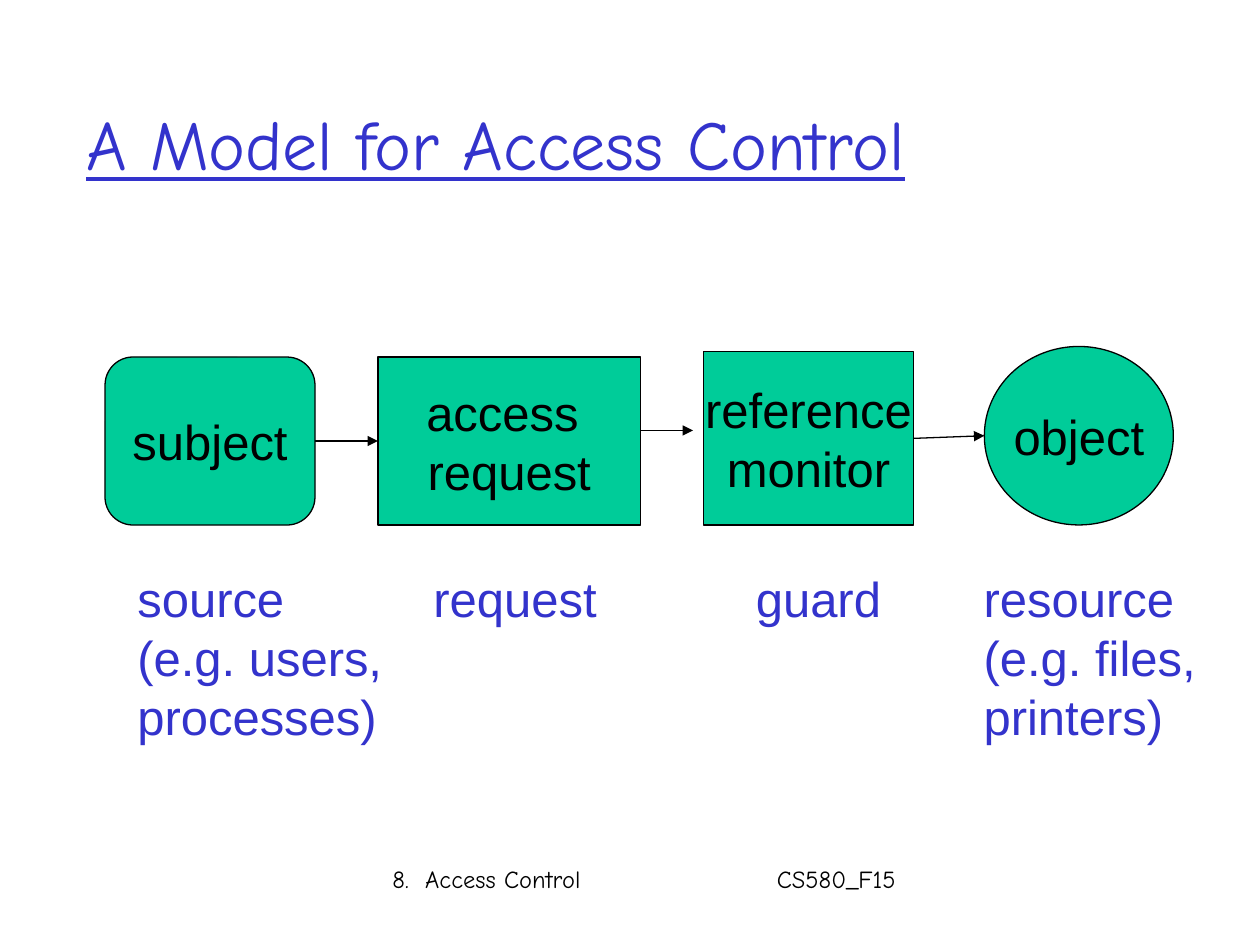
"""Build the access control model slide on a grid of 120 columns by 90 rows."""
from dataclasses import dataclass

from lxml.etree import SubElement
from pptx import Presentation
from pptx.dml.color import RGBColor
from pptx.enum.shapes import MSO_CONNECTOR, MSO_SHAPE as Preset
from pptx.enum.text import MSO_ANCHOR as Anchor, MSO_AUTO_SIZE as AutoSize, PP_ALIGN as Align
from pptx.oxml.ns import qn
from pptx.util import Inches, Pt

COLORS = {"ink": "000000", "accent": "3333CC", "box": "00CC99"}
BODY_FONT, TITLE_FONT = "Arial", "Comic Neue"
BODY_SIZE, LINE_WIDTH = 28, 0.75
LABEL_ROW = 53.6


@dataclass(frozen=True)
class Area:
    column: float
    row: float
    columns: float
    rows: float


@dataclass(frozen=True)
class Stage:
    preset: Preset
    area: Area
    text: str


@dataclass(frozen=True)
class Label:
    area: Area
    text: str


@dataclass(frozen=True)
class Arrow:
    start: tuple[float, float]
    end: tuple[float, float]


TITLE_AREA = Area(7, 6.1, 102, 14.9)
FOOTER_AREA = Area(36.2, 81.7, 71.9, 6)
FOOTER_TAB = 36.6

STAGES = [
    Stage(Preset.ROUNDED_RECTANGLE, Area(10, 34, 20, 16), "subject"),
    Stage(Preset.RECTANGLE, Area(36, 34, 25, 16), "access \nrequest"),
    Stage(Preset.RECTANGLE, Area(67, 33.5, 20, 16.5), "reference\nmonitor"),
    Stage(Preset.OVAL, Area(93.75, 33, 18, 17), "object"),
]
LABELS = [
    Label(Area(11.9, LABEL_ROW, 27, 18), "source\n(e.g. users,\nprocesses)"),
    Label(Area(40.1, LABEL_ROW, 17.9, 6.8), "request"),
    Label(Area(70.8, LABEL_ROW, 14.3, 6.8), "guard"),
    Label(Area(92.5, LABEL_ROW, 22.6, 18), "resource\n(e.g. files,\nprinters)"),
]
ARROWS = [
    Arrow((30, 42), (36, 42)),
    Arrow((60, 41), (66, 41)),
    Arrow((87, 41.75), (93.75, 41.5)),
]


def grid(units: float) -> int:
    return Inches(units / 12)


def place(area: Area) -> tuple[int, int, int, int]:
    return grid(area.column), grid(area.row), grid(area.columns), grid(area.rows)


def color(name: str) -> RGBColor:
    return RGBColor.from_string(COLORS[name])


def style_text(frame, font_name: str, size: float, color_name: str,
               align: Align = Align.LEFT, underline: bool | None = None) -> None:
    for paragraph in frame.paragraphs:
        paragraph.alignment = align
        font = paragraph.font
        font.name, font.size, font.underline = font_name, Pt(size), underline
        font.color.rgb = color(color_name)


def add_title(slide, text: str) -> None:
    title = slide.shapes.title
    title.left, title.top, title.width, title.height = place(TITLE_AREA)
    frame = title.text_frame
    frame.text = text
    frame.auto_size = AutoSize.NONE
    frame.vertical_anchor = Anchor.MIDDLE
    style_text(frame, TITLE_FONT, 40, "accent", underline=True)


def add_arrow(slide, arrow: Arrow) -> None:
    ends = [grid(value) for value in (*arrow.start, *arrow.end)]
    connector = slide.shapes.add_connector(MSO_CONNECTOR.STRAIGHT, *ends)
    connector.line.color.rgb = color("ink")
    connector.line.width = Pt(LINE_WIDTH)
    SubElement(connector.line._get_or_add_ln(), qn("a:tailEnd"), type="triangle")
    SubElement(connector._element.spPr, qn("a:effectLst"))


def add_stage(slide, stage: Stage) -> None:
    shape = slide.shapes.add_shape(stage.preset, *place(stage.area))
    shape.shadow.inherit = False
    shape.fill.solid()
    shape.fill.fore_color.rgb = color("box")
    shape.line.color.rgb = color("ink")
    shape.line.width = Pt(LINE_WIDTH)
    frame = shape.text_frame
    frame.text = stage.text
    frame.word_wrap = False
    frame.vertical_anchor = Anchor.MIDDLE
    style_text(frame, BODY_FONT, BODY_SIZE, "ink", Align.CENTER)


def add_label(slide, label: Label) -> None:
    frame = slide.shapes.add_textbox(*place(label.area)).text_frame
    frame.text = label.text
    frame.word_wrap = False
    frame.auto_size = AutoSize.SHAPE_TO_FIT_TEXT
    style_text(frame, BODY_FONT, BODY_SIZE, "accent")


def add_footer(slide, chapter: str, course: str) -> None:
    frame = slide.shapes.add_textbox(*place(FOOTER_AREA)).text_frame
    frame.text = f"{chapter}\t{course}"
    frame.word_wrap = True
    properties = frame.paragraphs[0]._p.get_or_add_pPr()
    tabs = SubElement(properties, qn("a:tabLst"))
    SubElement(tabs, qn("a:tab"), pos=str(grid(FOOTER_TAB)), algn="l")
    style_text(frame, TITLE_FONT, 14, "ink")


def main() -> None:
    presentation = Presentation()
    presentation.slide_width, presentation.slide_height = Inches(10), Inches(7.5)
    slide = presentation.slides.add_slide(presentation.slide_layouts[5])
    add_title(slide, "A Model for Access Control")
    for arrow in ARROWS:
        add_arrow(slide, arrow)
    for stage in STAGES:
        add_stage(slide, stage)
    for label in LABELS:
        add_label(slide, label)
    add_footer(slide, "8.  Access Control", "CS580_F15")
    presentation.save("out.pptx")


if __name__ == "__main__":
    main()
